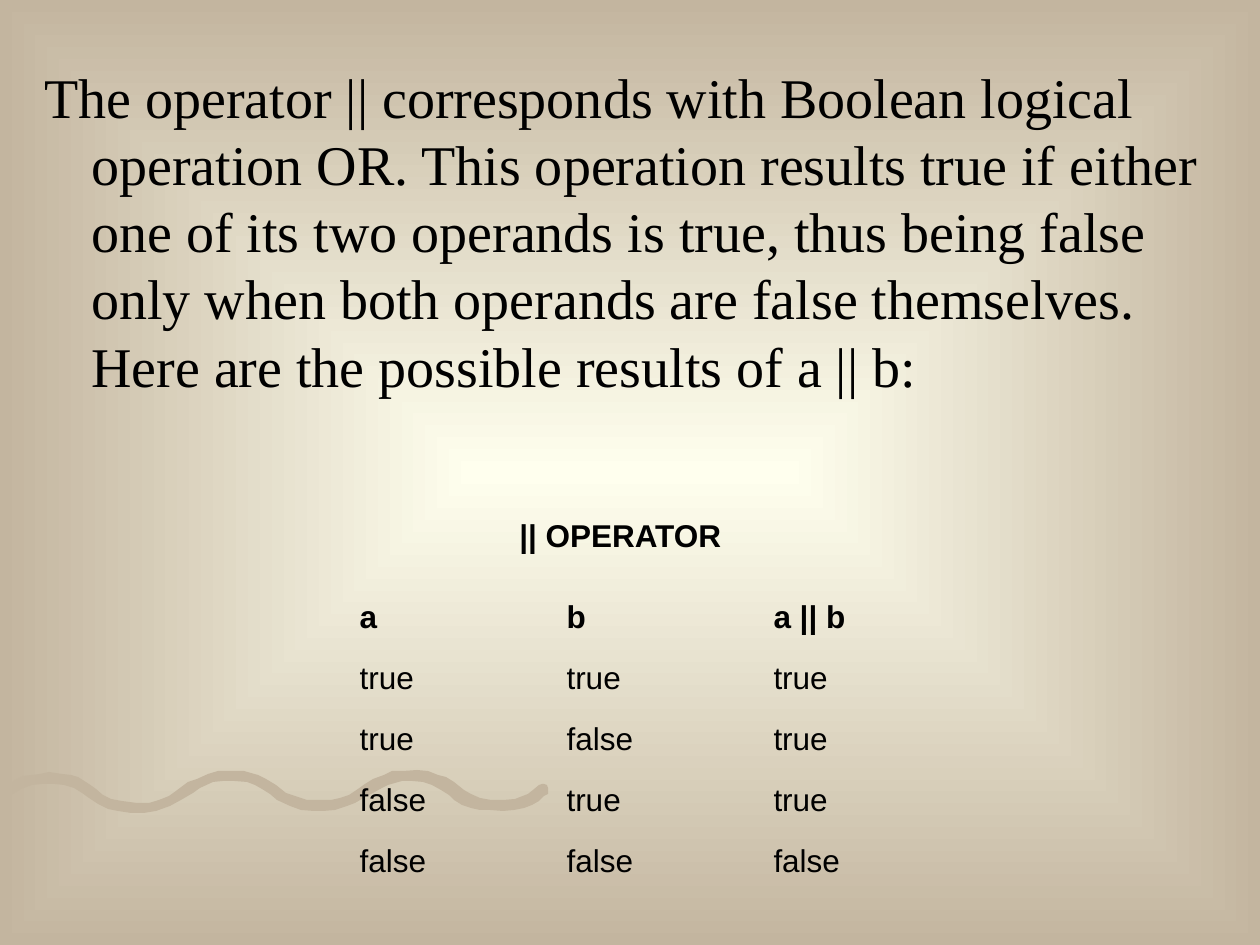
from lxml import etree
from pptx import Presentation
from pptx import util as u
from pptx.dml.color import RGBColor
from pptx.enum import text
from pptx.oxml.ns import qn

EMU_PER_PX = 914400 / 126
BLACK = RGBColor(0, 0, 0)
CREAM = RGBColor(0xFF, 0xFF, 0xEE)
TAN = RGBColor(0xC3, 0xB5, 0x9F)
NO_STYLE_NO_GRID = "{2D5ABB26-0587-4C30-8999-92F81FD0307C}"


def px(length):
    return u.Emu(round(length * EMU_PER_PX))


def set_font(para, name, size, bold=False):
    font = para.font
    font.name, font.size, font.bold = name, u.Pt(size), bold
    font.color.rgb = BLACK


deck = Presentation()
deck.slide_width, deck.slide_height = px(1260), px(945)
page = deck.slides.add_slide(deck.slide_layouts[6])

# Background: cream centre fading to tan edges
fill = page.background.fill
fill.gradient()
for stop, color in zip(fill.gradient_stops, (CREAM, TAN)):
    stop.color.rgb = color
gradient = page.element.find(".//" + qn("a:gradFill"))
gradient.remove(gradient.find(qn("a:lin")))
center = etree.SubElement(gradient, qn("a:path"), path="rect")
etree.SubElement(center, qn("a:fillToRect"), l="50000", t="50000", r="50000", b="50000")

# Wavy brush stroke: along the top edge, round the tip, back along the bottom
WAVE = [
    (1, 791), (9, 784), (15, 780), (23, 776), (32, 775), (40, 774), (49, 772),
    (62, 774), (71, 775), (78, 777), (89, 784), (96, 789), (103, 795), (111, 799),
    (122, 801), (137, 803), (149, 803), (159, 800), (169, 796), (176, 791),
    (188, 782), (197, 779), (208, 774), (218, 771), (228, 771), (244, 771),
    (258, 775), (266, 779), (276, 785), (286, 793), (295, 796), (307, 800),
    (319, 800), (331, 800), (340, 798), (349, 795), (358, 789), (365, 784),
    (373, 779), (384, 775), (392, 771), (403, 771), (417, 770), (428, 771),
    (438, 775), (446, 777), (454, 782), (464, 790), (471, 794), (480, 798),
    (491, 800), (504, 800), (515, 799), (528, 794), (533, 790), (539, 785),
    (542, 784), (544, 784), (547, 785), (548, 788), (548, 791), (548, 794),
    (544, 796), (539, 801), (532, 805), (524, 808), (514, 810), (503, 811),
    (490, 810), (480, 810), (471, 808), (462, 805), (454, 800), (449, 795),
    (441, 790), (432, 785), (423, 782), (412, 781), (402, 781), (388, 785),
    (382, 788), (373, 793), (367, 796), (355, 803), (347, 806), (335, 810),
    (323, 811), (314, 811), (301, 810), (290, 806), (277, 800), (270, 794),
    (262, 789), (255, 785), (247, 782), (234, 781), (223, 781), (213, 782),
    (200, 788), (193, 793), (181, 800), (170, 806), (156, 811), (144, 813),
    (131, 813), (118, 811), (108, 809), (98, 804), (89, 798), (82, 793),
    (74, 788), (64, 785), (55, 784), (42, 784), (32, 785), (21, 789), (13, 794),
    (0, 805),
]
builder = page.shapes.build_freeform(*WAVE[0], scale=EMU_PER_PX)
builder.add_line_segments(WAVE[1:], close=True)
wave = builder.convert_to_shape()
wave.shadow.inherit = False
wave.fill.solid()
wave.fill.fore_color.rgb = TAN
wave.line.fill.background()

# Explanation with a hanging indent
box = page.shapes.add_textbox(px(32), px(56), px(1187), px(417))
box.text_frame.word_wrap = True
para = box.text_frame.paragraphs[0]
para.text = (
    "The operator || corresponds with Boolean logical operation OR. "
    "This operation results true if either one of its two operands is true, "
    "thus being false only when both operands are false themselves. "
    "Here are the possible results of a || b:"
)
para.line_spacing = u.Pt(38.4)
properties = para._p.get_or_add_pPr()
properties.set("marL", str(px(47)))
properties.set("indent", str(px(-47)))
set_font(para, "Times New Roman", 32)

# Table heading
box = page.shapes.add_textbox(px(507), px(472), px(238), px(88))
box.text_frame.word_wrap = False
box.text_frame.vertical_anchor = text.MSO_ANCHOR.BOTTOM
para = box.text_frame.paragraphs[0]
para.text = "|| OPERATOR"
set_font(para, "Arial", 18, bold=True)

# Truth table
TRUTH = [
    ("a", "b", "a || b"),
    ("true", "true", "true"),
    ("true", "false", "true"),
    ("false", "true", "true"),
    ("false", "false", "false"),
]
COLUMN_WIDTHS = (207, 207, 219)
ROW_HEIGHT = 61
frame = page.shapes.add_table(
    len(TRUTH), len(COLUMN_WIDTHS), px(347), px(587),
    px(sum(COLUMN_WIDTHS)), px(ROW_HEIGHT * len(TRUTH)),
)
table = frame.table
table.first_row = table.horz_banding = False
frame._element.find(".//" + qn("a:tableStyleId")).text = NO_STYLE_NO_GRID
for column, width in zip(table.columns, COLUMN_WIDTHS):
    column.width = px(width)
for r, values in enumerate(TRUTH):
    table.rows[r].height = px(ROW_HEIGHT)
    for c, value in enumerate(values):
        cell = table.cell(r, c)
        cell.fill.background()
        cell.vertical_anchor = text.MSO_ANCHOR.MIDDLE
        para = cell.text_frame.paragraphs[0]
        para.text = value
        set_font(para, "Arial", 18, bold=r == 0)

deck.save("out.pptx")
